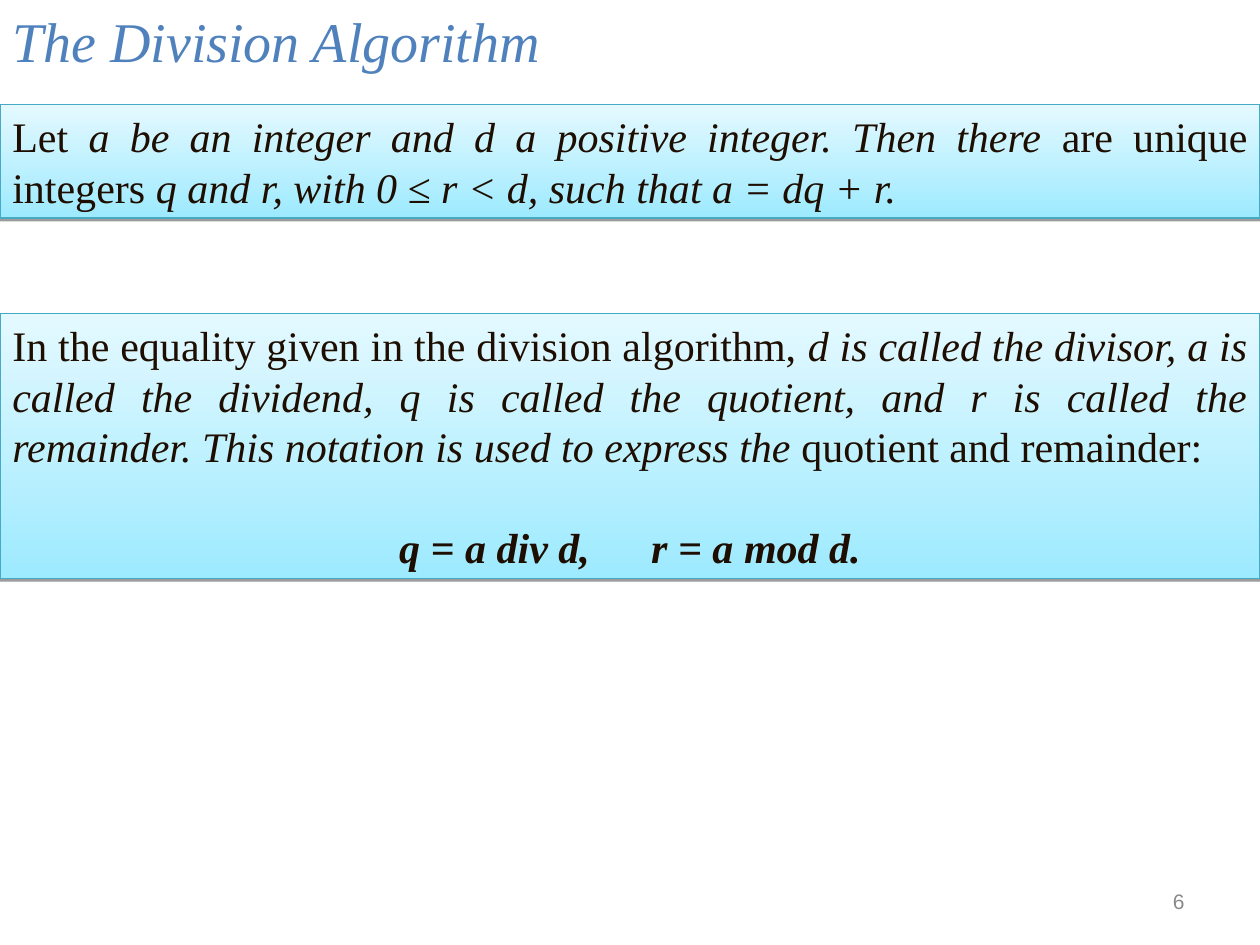
"""Build the slide that states the division algorithm and its notation."""
from lxml import etree
from pptx import Presentation
from pptx.dml.color import RGBColor
from pptx.enum.shapes import MSO_SHAPE
from pptx.enum.text import MSO_ANCHOR, PP_ALIGN
from pptx.oxml import parse_xml
from pptx.oxml.ns import qn
from pptx.util import Pt

SERIF = "Times New Roman"
NS = 'xmlns:a="http://schemas.openxmlformats.org/drawingml/2006/main"'
SHADOW = (f'<a:effectLst {NS}><a:outerShdw blurRad="0" dist="{Pt(1.6)}" dir="5400000" rotWithShape="0">'
          '<a:srgbClr val="000000"><a:alpha val="38000"/></a:srgbClr></a:outerShdw></a:effectLst>')


def rgb(value):
    return RGBColor.from_string(value)


def write(paragraph, runs, size, font, color, align):
    paragraph.alignment = align
    for text, style in runs:
        run = paragraph.add_run()
        run.text = text
        run.font.size = Pt(size)
        run.font.name = font
        run.font.color.rgb = rgb(color)
        run.font.italic = "i" in style
        run.font.bold = "b" in style


prs = Presentation()
prs.slide_width, prs.slide_height = Pt(720), Pt(540)
slide = prs.slides.add_slide(prs.slide_layouts[6])

labels = [
    (516.24, 500.4, 167.76, 28.8, MSO_ANCHOR.MIDDLE, ("6", ""), 12, "Arial", "898989", PP_ALIGN.RIGHT),
    (0, 0, 720, 59.76, MSO_ANCHOR.TOP, ("The Division Algorithm", "i"), 32, SERIF, "4F81BD", PP_ALIGN.JUSTIFY),
]
for left, top, width, height, anchor, run, size, font, color, align in labels:
    label = slide.shapes.add_textbox(Pt(left), Pt(top), Pt(width), Pt(height)).text_frame
    label.word_wrap = True
    label.vertical_anchor = anchor
    write(label.paragraphs[0], [run], size, font, color, align)

theorem = [
    ("Let ", ""),
    ("a be an integer and d a positive integer. Then there ", "i"),
    ("are unique integers ", ""),
    ("q and r, with 0 ≤ r < d, such that a = dq + r.", "i"),
]
terms = [
    ("In the equality given in the division algorithm, ", ""),
    ("d is called the divisor, a is called the dividend, q is called the quotient, and r is called "
     "the remainder. This notation is used to express the ", "i"),
    ("quotient and remainder:", ""),
]
notation = [("q = a div d, \tr = a mod d.", "bi")]

panels = [
    (59.76, 64.8, [(theorem, PP_ALIGN.JUSTIFY, 0)]),
    (179.28, 151.2, [(terms, PP_ALIGN.JUSTIFY, 0), (notation, PP_ALIGN.CENTER, 28.8)]),
]
for top, height, paragraphs in panels:
    panel = slide.shapes.add_shape(MSO_SHAPE.RECTANGLE, 0, Pt(top), Pt(720), Pt(height))
    panel.fill.gradient()
    panel.fill.gradient_angle = 90
    for stop, position, color in zip(panel.fill.gradient_stops, (0, 1), ("9EEAFF", "E4F9FF")):
        stop.position = position
        stop.color.rgb = rgb(color)
    panel.line.color.rgb = rgb("46AAC5")
    panel.line.width = Pt(0.75)
    panel._element.spPr.append(parse_xml(SHADOW))

    body = panel.text_frame
    body.word_wrap = True
    body.vertical_anchor = MSO_ANCHOR.TOP
    for index, (runs, align, gap) in enumerate(paragraphs):
        paragraph = body.add_paragraph() if index else body.paragraphs[0]
        paragraph.line_spacing = Pt(28.8)
        paragraph.space_before = Pt(gap)
        tabs = etree.SubElement(paragraph._p.get_or_add_pPr(), qn("a:tabLst"))
        for inch in range(8):
            etree.SubElement(tabs, qn("a:tab"), pos=str(Pt(72 * inch)), algn="l")
        write(paragraph, runs, 24, SERIF, "1E0E01", align)

prs.save("out.pptx")
